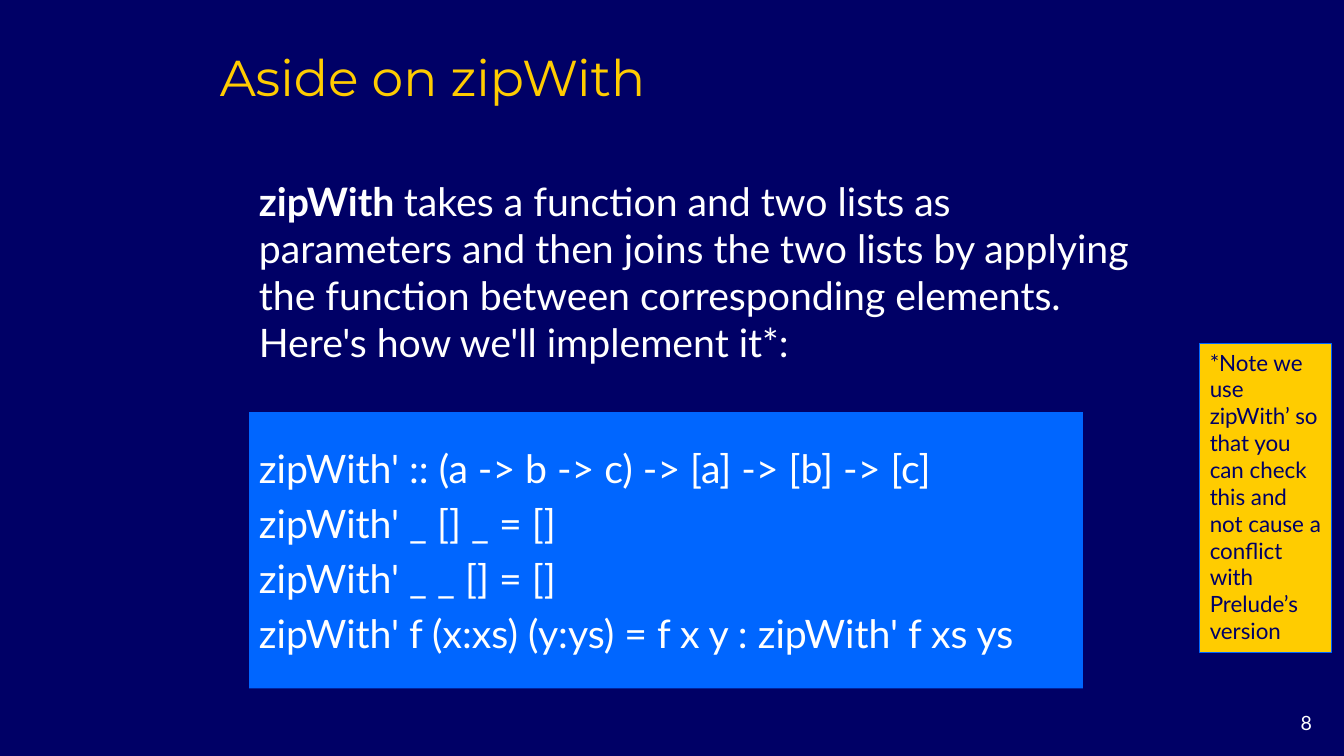
from pptx import Presentation
from pptx.dml.color import RGBColor
from pptx.enum.shapes import MSO_SHAPE
from pptx.enum.text import MSO_ANCHOR, MSO_AUTO_SIZE, PP_ALIGN
from pptx.util import Inches, Pt

NAVY, BLUE, GOLD, WHITE = "000066", "0066FF", "FFCC00", "FFFFFF"
BODY_FONT, TITLE_FONT = "Lato", "Montserrat"

CODE = [
    "zipWith' :: (a -> b -> c) -> [a] -> [b] -> [c]",
    "zipWith' _ [] _ = []",
    "zipWith' _ _ [] = []",
    "zipWith' f (x:xs) (y:ys) = f x y : zipWith' f xs ys",
]


def rgb(color):
    return RGBColor.from_string(color)


def inches(box):
    return [Inches(length) for length in box]


def paint(fill, color):
    fill.solid()
    fill.fore_color.rgb = rgb(color)


def write(shape, paragraphs, size, color=WHITE, font=BODY_FONT,
          anchor=MSO_ANCHOR.TOP, align=PP_ALIGN.LEFT, space_before=0):
    """Fill a shape with paragraphs, each a list of (text, bold) runs."""
    frame = shape.text_frame
    frame.word_wrap = True
    frame.auto_size = MSO_AUTO_SIZE.NONE
    frame.vertical_anchor = anchor
    for index, runs in enumerate(paragraphs):
        paragraph = frame.add_paragraph() if index else frame.paragraphs[0]
        paragraph.alignment = align
        paragraph.space_before = Pt(space_before)
        paragraph.font.size = Pt(size)
        paragraph.font.name = font
        paragraph.font.color.rgb = rgb(color)
        for text, bold in runs:
            run = paragraph.add_run()
            run.text = text
            if bold:
                run.font.bold = True


def add_panel(slide, box, color, outline=None):
    panel = slide.shapes.add_shape(MSO_SHAPE.RECTANGLE, *inches(box))
    panel.shadow.inherit = False
    paint(panel.fill, color)
    if outline:
        panel.line.color.rgb = rgb(outline)
        panel.line.width = Pt(0.75)
    else:
        panel.line.fill.background()
    return panel


def place_title(slide, box):
    title = slide.shapes.title
    title.left, title.top, title.width, title.height = inches(box)
    write(title, [[("Aside on zipWith", False)]], 36, GOLD, TITLE_FONT)


def add_page_number(slide, box):
    number = slide.shapes.add_textbox(*inches(box))
    write(number, [[("8", False)]], 14, align=PP_ALIGN.RIGHT)


def add_explanation(slide, box):
    explanation = slide.shapes.add_textbox(*inches(box))
    write(explanation, [[
        ("zipWith ", True),
        ("takes a function and two lists as parameters and then joins the two "
         "lists by applying the function between corresponding elements. "
         "Here's how we'll implement it*:", False),
    ]], 28, anchor=MSO_ANCHOR.MIDDLE)


def add_code(slide, box):
    code = add_panel(slide, box, BLUE)
    write(code, [[(line, False)] for line in CODE], 28,
          anchor=MSO_ANCHOR.MIDDLE, space_before=5.6)


def add_side_note(slide, box):
    note = add_panel(slide, box, GOLD, outline=BLUE)
    write(note, [[("*Note we use zipWith’ so that you can check this and not "
                   "cause a conflict with Prelude’s version", False)]], 16, NAVY)


def main():
    deck = Presentation()
    deck.slide_width, deck.slide_height = Inches(13.33), Inches(7.5)
    slide = deck.slides.add_slide(deck.slide_layouts[5])
    paint(slide.background.fill, NAVY)

    # Heading and page number
    place_title(slide, (2.08, 0.41, 8.47, 0.72))
    add_page_number(slide, (12.22, 7, 0.89, 0.33))

    # Explanation and code share a left edge
    content_left = 2.47
    add_explanation(slide, (content_left, 1.7, 9.03, 1.99))
    add_code(slide, (content_left, 4.09, 8.27, 2.74))

    # Note in the right margin
    add_side_note(slide, (11.9, 3.41, 1.31, 3.06))
    deck.save("out.pptx")


if __name__ == "__main__":
    main()
